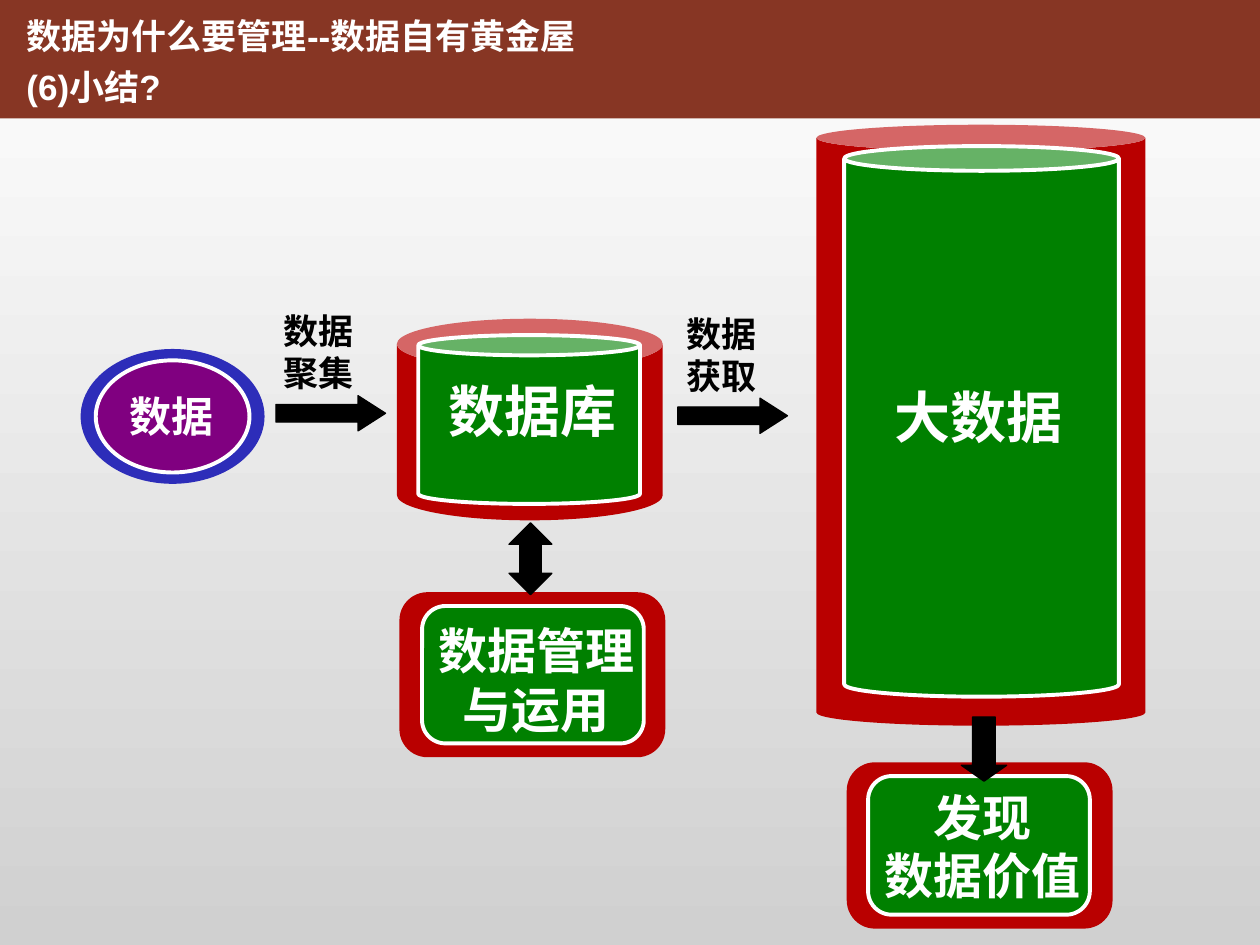
from dataclasses import dataclass

from lxml import etree
from pptx import Presentation
from pptx.dml.color import RGBColor
from pptx.enum.shapes import MSO_SHAPE
from pptx.enum.text import MSO_ANCHOR, MSO_AUTO_SIZE, PP_ALIGN
from pptx.oxml.ns import qn
from pptx.util import Pt

PX = 9144  # 100 px to the inch
CAN, OVAL, RING = MSO_SHAPE.CAN, MSO_SHAPE.OVAL, MSO_SHAPE.DONUT
RECT, ROUND = MSO_SHAPE.RECTANGLE, MSO_SHAPE.ROUNDED_RECTANGLE
RIGHT, DOWN = MSO_SHAPE.RIGHT_ARROW, MSO_SHAPE.DOWN_ARROW
BOTH = MSO_SHAPE.UP_DOWN_ARROW
TOP = MSO_ANCHOR.TOP
FIXED, GROW = MSO_AUTO_SIZE.NONE, MSO_AUTO_SIZE.SHAPE_TO_FIT_TEXT
LEFT, MID = PP_ALIGN.LEFT, PP_ALIGN.CENTER


@dataclass(frozen=True)
class Theme:
    bar: str = "873624"
    red: str = "B90000"
    green: str = "008000"
    blue: str = "2D2DB9"
    purple: str = "800080"
    white: str = "FFFFFF"
    black: str = "000000"
    grey: str = "D0D0D0"
    latin: str = "Arial"
    han: str = "Noto Sans CJK SC"
    small: int = 20
    data: int = 24
    task: int = 28
    store: int = 32


T = Theme()


def draw(shapes, kind, box, adj=(), fill=None, line=None, width=2.25):
    shape = shapes.add_shape(kind, *(n * PX for n in box))
    shape.shadow.inherit = False
    for i, value in enumerate(adj):
        shape.adjustments[i] = value
    if fill:
        shape.fill.solid()
        shape.fill.fore_color.rgb = RGBColor.from_string(fill)
    else:
        shape.fill.background()
    if line:
        shape.line.color.rgb = RGBColor.from_string(line)
        shape.line.width = Pt(width)
    else:
        shape.line.fill.background()
    return shape


def write(shape, lines, size, face, color=T.white, align=MID, fit=GROW):
    frame = shape.text_frame
    frame.word_wrap = True
    frame.auto_size = fit
    frame.vertical_anchor = TOP
    for i, text in enumerate(lines):
        para = frame.add_paragraph() if i else frame.paragraphs[0]
        para.alignment = align
        run = para.add_run()
        run.text = text
        run.font.size = Pt(size)
        run.font.bold = True
        run.font.name = face
        run.font.color.rgb = RGBColor.from_string(color)


deck = Presentation()
deck.slide_width, deck.slide_height = 1000 * PX, 750 * PX
slide = deck.slides.add_slide(deck.slide_layouts[5])
shapes = slide.shapes

back = slide.background.fill
back.gradient()
back.gradient_angle = 270
for stop, place, color in zip(back.gradient_stops, (0, 1), (T.white, T.grey)):
    stop.position = place
    stop.color.rgb = RGBColor.from_string(color)

# Title on its bar
title = shapes.title
bar = draw(shapes, RECT, (0, 0, 1000, 94), fill=T.bar)
title.element.addprevious(bar.element)
title.left, title.top, title.width, title.height = (
    n * PX for n in (11, 0, 500, 90))
write(title, ["数据为什么要管理--数据自有黄金屋", "(6)小结?"], T.small, T.latin,
      align=LEFT, fit=FIXED)
for para in title.text_frame.paragraphs:
    para.line_spacing = 1.2

# Each node: kind, outer box and adj, inner box and adj, colours,
# then label kind, box and adj, lines, size and face
nodes = [
    (ROUND, (317, 470, 211, 131), [0.17], (335, 481, 176, 109), [0.17],
     T.red, T.green, ROUND, (311, 482, 229, 115), [0.17],
     ["数据管理 与运用"], T.task, T.han),
    (CAN, (315, 253, 211, 160), [0.25], (332, 266, 176, 134), [0.12],
     T.red, T.green, CAN, (315, 284, 216, 79), [0.13],
     ["数据库"], T.store, T.latin),
    (OVAL, (64, 277, 146, 107), [0.12], (76, 286, 122, 89), [],
     T.blue, T.purple, RECT, (76, 305, 120, 50), [],
     ["数据"], T.data, T.han),
    (CAN, (648, 99, 261, 477), [0.08], (670, 116, 218, 437), [0.09],
     T.red, T.green, CAN, (690, 273, 174, 102), [0.25],
     ["大数据"], T.store, T.latin),
    (ROUND, (672, 605, 211, 132), [0.17], (689, 616, 176, 110), [0.17],
     T.red, T.green, ROUND, (666, 614, 228, 115), [0.17],
     ["发现", "数据价值"], T.task, T.han),
]
for (kind, outer, bend, inner, curve, edge, core,
     form, box, adj, lines, size, face) in nodes:
    group = shapes.add_group_shape().shapes
    draw(group, RING if kind == OVAL else kind, outer, bend, edge)
    draw(group, kind, inner, curve, core, T.white)
    write(draw(group, form, box, adj), lines, size, face)

# Arrows and the steps named above them
arrows = [
    (RIGHT, (219, 314, 87, 28), [0.5, 0.78]),
    (BOTH, (404, 415, 34, 57), [0.33, 0.5]),
    (RIGHT, (538, 316, 87, 28), [0.5, 0.78]),
    (DOWN, (763, 569, 36, 51), [0.5, 0.35]),
]
for kind, box, adj in arrows:
    draw(shapes, kind, box, adj, T.black, T.black, 0.75)

for left, top, text in [(215, 241, "数据聚集"), (535, 243, "数据获取")]:
    step = shapes.add_textbox(left * PX, top * PX, 90 * PX, 77 * PX)
    write(step, [text], T.small, T.latin, T.black, LEFT)

# Chinese glyphs take the same face in every run
for latin in list(slide.element.iter(qn("a:latin"))):
    east = etree.Element(qn("a:ea"))
    east.set("typeface", T.han)
    latin.addnext(east)

deck.save("out.pptx")
